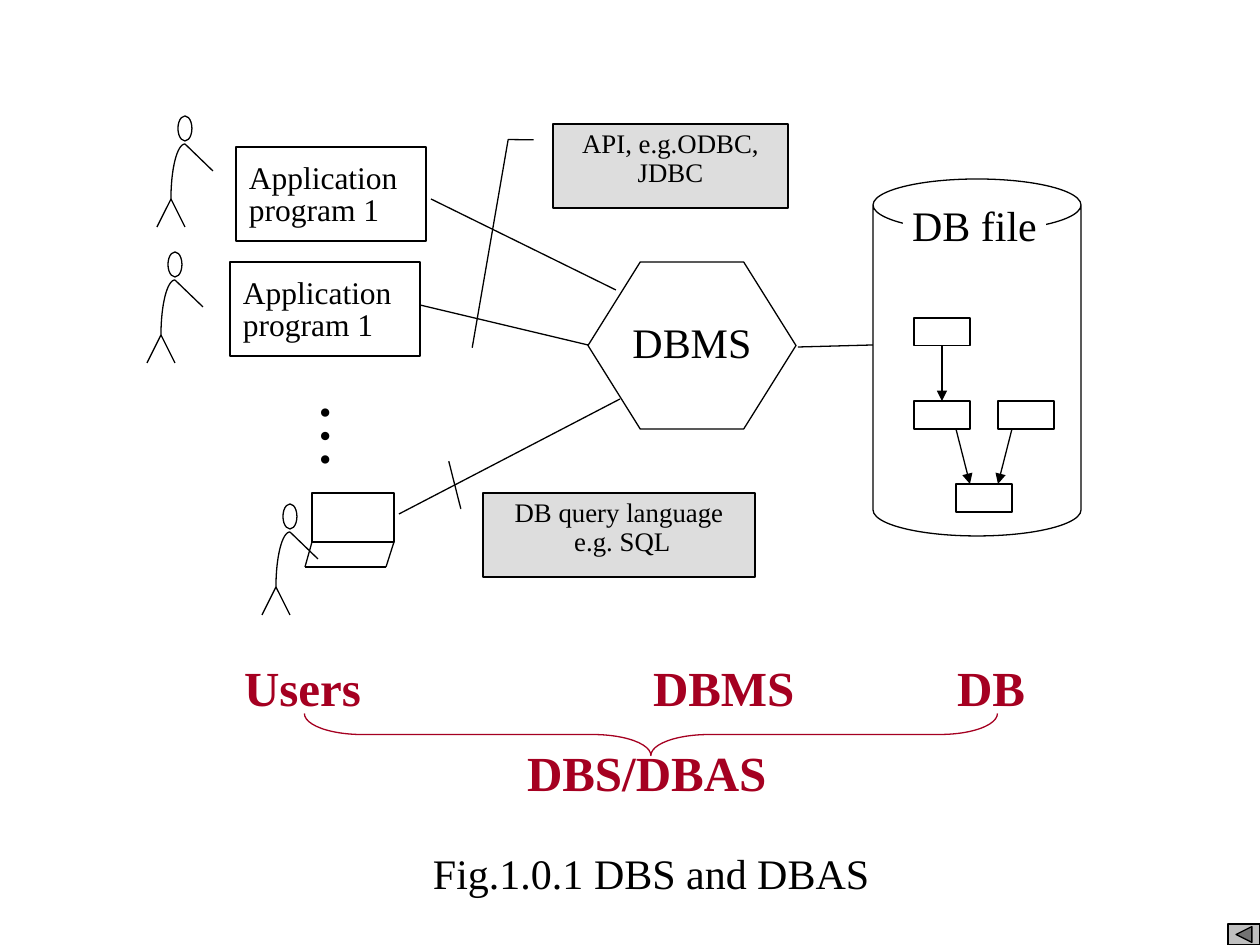
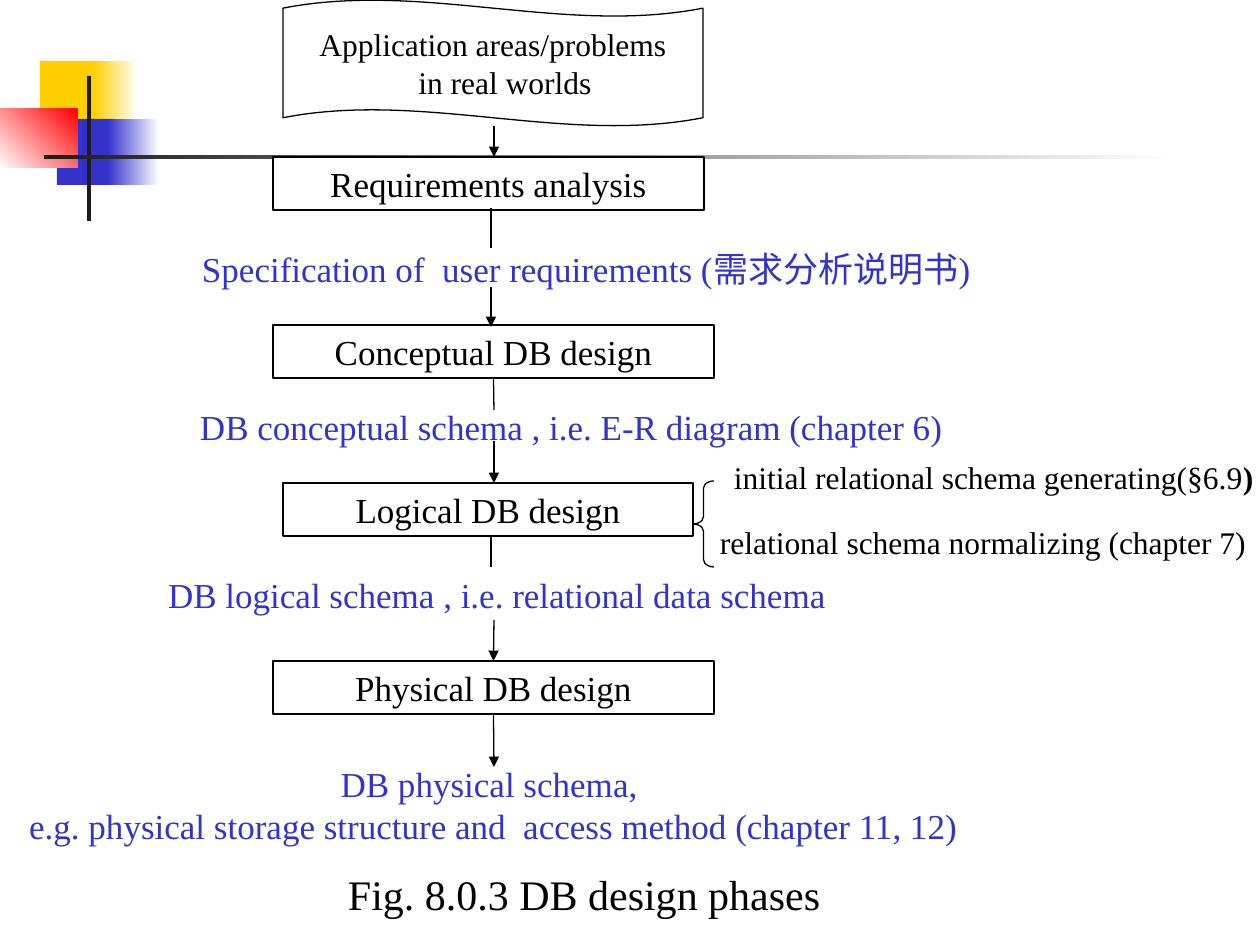
import math

from lxml import etree
from pptx import Presentation
from pptx import util as u
from pptx.dml.color import RGBColor
from pptx.enum import shapes as s
from pptx.enum import text as t
from pptx.oxml.ns import qn

SCALE = 914400 / 126
FONT = "Times New Roman"
COLORS = {
    "ink": "000000", "paper": "FFFFFF", "callout": "DDDDDD", "button": "C0C0C0",
    "crimson": "A50021", "blue": "3333CC", "yellow": "FFCF01", "red": "FF0000",
    "charcoal": "1C1C1C",
}
MARGINS = (13, 6, 13, 6)
LEFT, CENTER, JUSTIFY = t.PP_ALIGN.LEFT, t.PP_ALIGN.CENTER, t.PP_ALIGN.JUSTIFY
TOP, MIDDLE = t.MSO_ANCHOR.TOP, t.MSO_ANCHOR.MIDDLE
SHAPE = s.MSO_SHAPE


def px(length):
    return u.Emu(round(length * SCALE))


def color(name):
    return RGBColor.from_string(COLORS[name])


def write(shape, lines, size=20, ink="ink", bold=False, align=LEFT, anchor=TOP,
          margins=MARGINS, wrap=True, spacing=None, before=None):
    """Each line is a string, or a list of (text, size, bold) runs."""
    frame = shape.text_frame
    frame.word_wrap = wrap
    frame.vertical_anchor = anchor
    (frame.margin_left, frame.margin_top,
     frame.margin_right, frame.margin_bottom) = map(px, margins)
    for index, line in enumerate(lines):
        paragraph = frame.add_paragraph() if index else frame.paragraphs[0]
        paragraph.alignment = align
        if spacing:
            paragraph.line_spacing = spacing
        if before:
            paragraph.space_before = u.Pt(before)
        runs = [(line, size, bold)] if isinstance(line, str) else line
        for words, run_size, run_bold in runs:
            run = paragraph.add_run()
            run.text = words
            run.font.name = FONT
            run.font.size = u.Pt(run_size)
            run.font.bold = run_bold
            run.font.color.rgb = color(ink)


def outline(shape, ink):
    if ink:
        shape.line.color.rgb = color(ink)
        shape.line.width = u.Pt(0.75)
    else:
        shape.line.fill.background()


def draw(shapes, kind, box, fill="paper", line="ink", adjust=()):
    shape = shapes.add_shape(kind, *map(px, box))
    shape.shadow.inherit = False
    if fill:
        shape.fill.solid()
        shape.fill.fore_color.rgb = color(fill)
    else:
        shape.fill.background()
    outline(shape, line)
    for index, value in enumerate(adjust):
        shape.adjustments[index] = value
    return shape


def fade(shape, start, end, angle=0):
    shape.fill.gradient()
    shape.fill.gradient_angle = angle
    for stop, name in zip(shape.fill.gradient_stops, (start, end)):
        stop.color.rgb = color(name)


def label(shapes, box, lines, wrap=False, **text_format):
    shape = shapes.add_textbox(*map(px, box))
    write(shape, lines, wrap=wrap, **text_format)
    shape.text_frame.auto_size = t.MSO_AUTO_SIZE.SHAPE_TO_FIT_TEXT
    return shape


def connect(shapes, start, end, arrow=False, begin=None, finish=None):
    """Draw a line; begin and finish are shapes joined at bottom and top."""
    connector = shapes.add_connector(
        s.MSO_CONNECTOR.STRAIGHT, *map(px, (*start, *end)))
    outline(connector, "ink")
    if begin is not None:
        connector.begin_connect(begin, 2)
    if finish is not None:
        connector.end_connect(finish, 0)
    properties = connector.element.spPr
    if arrow:
        etree.SubElement(properties.get_or_add_ln(), qn("a:tailEnd"), type="triangle")
    etree.SubElement(properties, qn("a:effectLst"))


def stick_figure(slide, x, y):
    shapes = slide.shapes.add_group_shape().shapes
    draw(shapes, SHAPE.FLOWCHART_CONNECTOR, (x, y, 14, 25))
    neck, hip = (x + 7, y + 28), (x - 7, y + 83)
    angles = [math.pi / 2 * step / 16 for step in range(17)]
    curve = [(px(neck[0] - 14 * math.sin(a)), px(hip[1] - 55 * math.cos(a)))
             for a in angles]
    builder = shapes.build_freeform(*curve[0])
    builder.add_line_segments(curve[1:], close=False)
    back = builder.convert_to_shape()
    back.shadow.inherit = False
    back.fill.background()
    outline(back, "ink")
    for foot_x in (x + 7, x - 21):
        connect(shapes, hip, (foot_x, y + 111))
    connect(shapes, neck, (x + 35, y + 55))


def laptop(slide):
    shapes = slide.shapes.add_group_shape().shapes
    draw(shapes, SHAPE.RECTANGLE, (312, 493, 82, 49))
    corners = [(312, 542), (305, 567), (386, 567), (394, 542)]
    for start, end in zip(corners, corners[1:]):
        connect(shapes, start, end)


def database_file(slide):
    draw(slide.shapes, SHAPE.CAN, (873, 179, 208, 357), adjust=[0.25])
    shapes = slide.shapes.add_group_shape().shapes
    root, child, _, _ = [
        draw(shapes, SHAPE.RECTANGLE, (x, y, 56, 28))
        for x, y in ((914, 318), (914, 401), (998, 401), (956, 484))]
    connect(shapes, (942, 346), (942, 401), arrow=True, begin=root, finish=child)
    connect(shapes, (956, 429), (970, 484), arrow=True)
    connect(shapes, (1012, 429), (998, 484), arrow=True)
    name = draw(slide.shapes, SHAPE.RECTANGLE, (903, 199, 143, 55), line=None)
    write(name, ["DB file"], size=24, align=CENTER, margins=(0, 0, 0, 0))


def callout(slide, box, lines, adjust):
    shape = draw(slide.shapes, SHAPE.LINE_CALLOUT_2, box, "callout", adjust=adjust)
    write(shape, lines, size=15.3, align=CENTER, spacing=0.9)


def system_slide(slide):
    shapes = slide.shapes
    connect(shapes, (168, 624), (168, 624))
    laptop(slide)
    for x, y in ((178, 116), (168, 252), (283, 504)):
        stick_figure(slide, x, y)
    dbms = draw(shapes, SHAPE.HEXAGON, (588, 262, 208, 167), adjust=[0.313])
    write(dbms, ["DBMS"], size=24, align=CENTER, margins=(0, 27, 0, 6))
    database_file(slide)
    for start, end in (((798, 347), (873, 345)), ((431, 199), (616, 290)),
                       ((420, 305), (588, 345)), ((399, 514), (620, 399))):
        connect(shapes, start, end)
    for x, y in ((236, 147), (230, 262)):
        program = draw(shapes, SHAPE.RECTANGLE, (x, y, 190, 94))
        write(program, ["Application program 1"], size=18, align=JUSTIFY,
              margins=(13, 17, 13, 6), spacing=0.85)
    dots = label(shapes, (291, 389, 108, 116), ["…"], wrap=True, size=40,
                 margins=(6, 13, 6, 13), before=25)
    dots.element.txBody.bodyPr.set("vert", "eaVert")
    callout(slide, (483, 493, 272, 84), ["DB query language", " e.g. SQL"],
            [0.188, -0.083, 0.185, -0.082, -0.378, -0.126])
    callout(slide, (553, 124, 235, 84), ["API, e.g.ODBC, JDBC"],
            [0.188, -0.083, 0.185, -0.191, 2.664, -0.344])
    brace = draw(shapes, SHAPE.LEFT_BRACE, (630, 388, 42, 693), None, "crimson",
                 [1.375, 0.5])
    brace.rotation = 270
    for words, x, y, width in (("Users", 231, 652, 146), ("DBMS", 640, 652, 170),
                               ("DB", 944, 652, 97), ("DBS/DBAS", 514, 736, 269)):
        label(shapes, (x, y, width, 72), [words], size=28, ink="crimson", bold=True)
    label(shapes, (420, 842, 465, 63), ["Fig.1.0.1 DBS and DBAS"], size=24)
    draw(shapes, SHAPE.ACTION_BUTTON_BACK_OR_PREVIOUS, (1228, 924, 32, 21), "button")


def corner_ornament(slide):
    for box, start, end, angle in (
            ((40, 61, 60, 66), "yellow", None, 0),
            ((93, 61, 45, 66), "yellow", "paper", 0),
            ((57, 119, 58, 66), "blue", None, 0),
            ((108, 119, 51, 66), "blue", "paper", 0),
            ((0, 109, 78, 59), "paper", "red", 45),
            ((87, 76, 4, 145), "charcoal", None, 0),
            ((44, 155, 1134, 4), "charcoal", "paper", 0)):
        shape = draw(slide.shapes, SHAPE.RECTANGLE, box, start, None)
        if end:
            fade(shape, start, end, angle)


def phases_slide(slide):
    shapes = slide.shapes
    corner_ornament(slide)
    for box, lines, align in (
            ((189, 241, 814, 55),
             ["Specification of  user requirements (需求分析说明书)"], LEFT),
            ((187, 399, 771, 55),
             ["DB conceptual schema , i.e. E-R diagram (chapter 6)"], LEFT),
            ((155, 567, 687, 55),
             ["DB logical schema , i.e. relational data schema"], LEFT),
            ((16, 756, 955, 97),
             ["DB physical schema, ",
              "e.g. physical storage structure and  access method (chapter 11, 12)"],
             CENTER)):
        label(shapes, box, lines, ink="blue", align=align)
    draw(shapes, SHAPE.LEFT_BRACE, (693, 481, 21, 86), None, adjust=[0.35, 0.5])
    generating = [("initial relational schema generating(§6.9", 18, False),
                  (")", 18, True), (" ", 24, False)]
    label(shapes, (721, 442, 556, 63), [generating])
    label(shapes, (707, 517, 556, 50), ["relational schema normalizing (chapter 7)"],
          size=18)
    label(shapes, (335, 863, 502, 63), ["Fig. 8.0.3 DB design phases"], size=24)

    areas = draw(shapes, SHAPE.WAVE, (283, 0, 420, 126), None, adjust=[0.065])
    write(areas, ["Application areas/problems", "in real worlds"], size=18,
          align=CENTER, anchor=MIDDLE, wrap=False)
    second_line = areas.element.txBody.p_lst[1]
    second_line.get_or_add_pPr().set("marL", str(px(24)))

    steps = []
    for words, x, y, width in (("Requirements analysis", 273, 157, 431),
                               ("Conceptual DB design", 273, 325, 441),
                               ("Logical DB design", 283, 483, 410),
                               ("Physical DB design", 273, 661, 441)):
        step = draw(shapes, SHAPE.RECTANGLE, (x, y, width, 53))
        write(step, [words], align=CENTER, anchor=MIDDLE, wrap=False)
        steps.append(step)
    _, conceptual, _, physical = steps
    for x, top, bottom, arrow, begin, finish in (
            (494, 126, 157, True, None, None),
            (491, 208, 248, False, None, None),
            (491, 287, 327, True, None, None),
            (494, 378, 410, False, conceptual, None),
            (494, 441, 483, True, None, None),
            (491, 536, 567, False, None, None),
            (494, 620, 661, True, None, physical),
            (494, 714, 767, True, physical, None)):
        connect(shapes, (x, top), (x, bottom), arrow, begin, finish)


def main():
    presentation = Presentation()
    presentation.slide_width, presentation.slide_height = px(1260), px(945)
    blank = presentation.slide_layouts[6]
    for build in (system_slide, phases_slide):
        build(presentation.slides.add_slide(blank))
    presentation.save("out.pptx")


if __name__ == "__main__":
    main()
